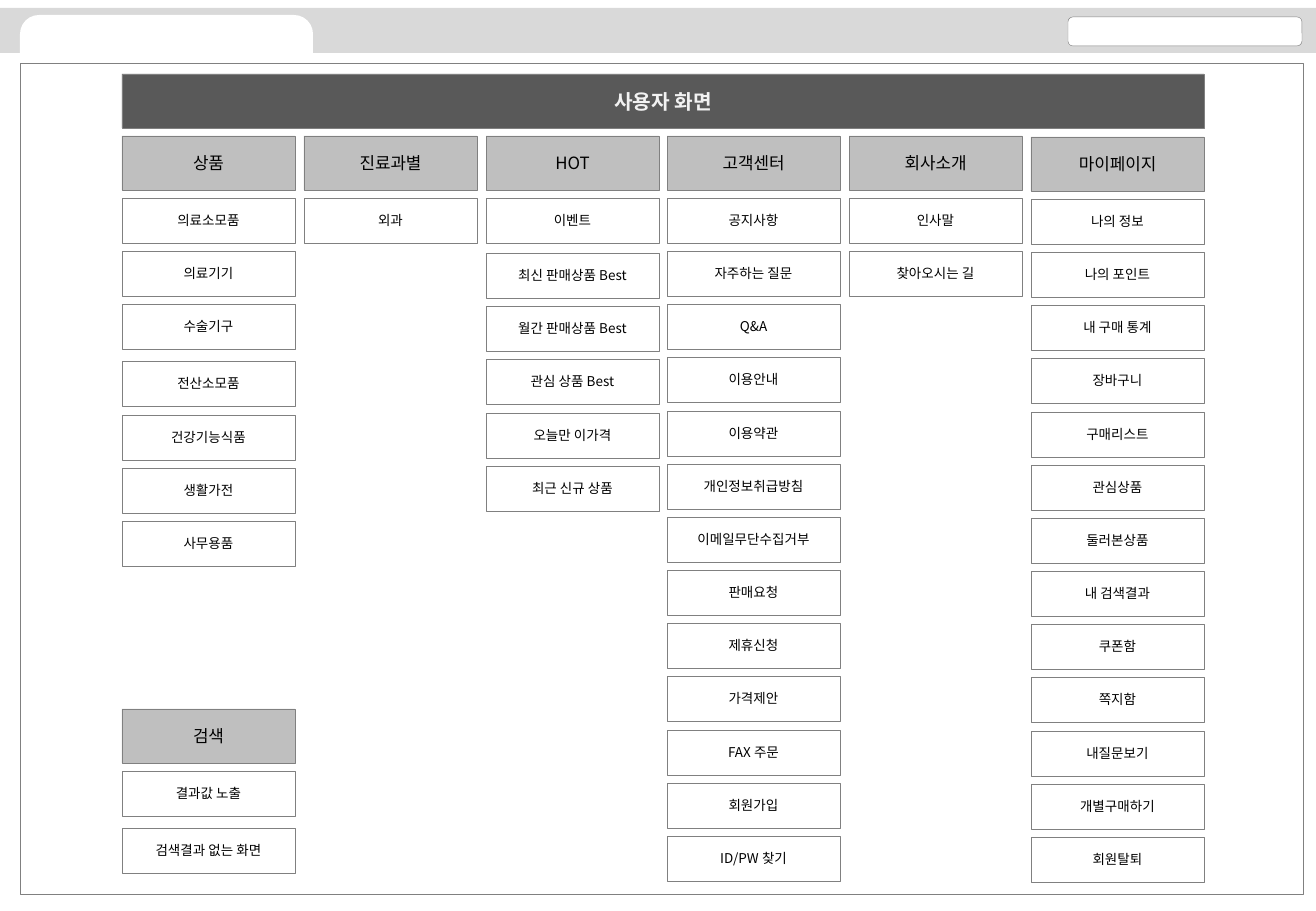
from pptx import Presentation
from pptx.dml.color import RGBColor
from pptx.enum.shapes import MSO_SHAPE
from pptx.enum.text import MSO_ANCHOR, MSO_AUTO_SIZE, PP_ALIGN
from pptx.oxml.ns import qn
from pptx.util import Pt
from lxml import etree

RECT = MSO_SHAPE.RECTANGLE
ROUND_RECT = MSO_SHAPE.ROUNDED_RECTANGLE
TAB = MSO_SHAPE.ROUND_2_SAME_RECTANGLE
MIDDLE = MSO_ANCHOR.MIDDLE
NO_AUTOFIT = MSO_AUTO_SIZE.NONE
CENTER = PP_ALIGN.CENTER

SCALE = 914400 / 121.5
FONT = "Noto Sans CJK KR"
GREY, BAND, HEADER, DARK = "808080", "D9D9D9", "BFBFBF", "595959"
BLACK, WHITE, LIGHT = "000000", "FFFFFF", "F2F2F2"

# Menu grid, in pixels
LEFT, COLUMN_PITCH, BOX_WIDTH = 122, 181.8, 173
HEADER_HEIGHT, ITEM_HEIGHT = 54, 45
FIRST_ITEM, ROW_PITCH = 62, 53.15

# Column, header top, header, items, number of items before the wider gap, extra gap
MENUS = [
    (0, 136, "상품", ["의료소모품", "의료기기", "수술기구", "전산소모품",
                    "건강기능식품", "생활가전", "사무용품"], 3, 4),
    (1, 136, "진료과별", ["외과"], 0, 0),
    (2, 136, "HOT", ["이벤트", "최신 판매상품 Best", "월간 판매상품 Best",
                     "관심 상품 Best", "오늘만 이가격", "최근 신규 상품"], 1, 2),
    (3, 136, "고객센터", ["공지사항", "자주하는 질문", "Q&A", "이용안내", "이용약관",
                      "개인정보취급방침", "이메일무단수집거부", "판매요청", "제휴신청",
                      "가격제안", "FAX 주문", "회원가입", "ID/PW 찾기"], 0, 0),
    (4, 136, "회사소개", ["인사말", "찾아오시는 길"], 0, 0),
    (5, 137, "마이페이지", ["나의 정보", "나의 포인트", "내 구매 통계", "장바구니",
                       "구매리스트", "관심상품", "둘러본상품", "내 검색결과", "쿠폰함",
                       "쪽지함", "내질문보기", "개별구매하기", "회원탈퇴"], 0, 0),
    (0, 709, "검색", ["결과값 노출", "검색결과 없는 화면"], 1, 4),
]


def px(n):
    return round(n * SCALE)


def rgb(color):
    return RGBColor.from_string(color)


def paint(sp, fill=None, line=None):
    if fill:
        sp.fill.solid()
        sp.fill.fore_color.rgb = rgb(fill)
    else:
        sp.fill.background()
    if line:
        sp.line.color.rgb = rgb(line)
        sp.line.width = Pt(0.25)
    else:
        sp.line.fill.background()


def set_text(sp, text, size, color, bold=False):
    tf = sp.text_frame
    tf.text = text
    tf.word_wrap = True
    tf.auto_size = NO_AUTOFIT
    tf.vertical_anchor = MIDDLE
    tf.margin_left = tf.margin_right = tf.margin_top = tf.margin_bottom = 0
    p = tf.paragraphs[0]
    p.alignment = CENTER
    font = p.runs[0].font
    font.name, font.size, font.bold = FONT, Pt(size), bold
    font.color.rgb = rgb(color)
    # East Asian typeface for the Korean text
    ea = etree.SubElement(p.runs[0].font._element, qn("a:ea"))
    ea.set("typeface", FONT)


def add_box(s, x, y, w, h, fill=None, line=None, kind=RECT):
    sp = s.shapes.add_shape(kind, px(x), px(y), px(w), px(h))
    sp.shadow.inherit = False
    paint(sp, fill, line)
    return sp


def add_page_frame(s):
    add_box(s, 0, 8, 1316, 45, BAND)
    tab = add_box(s, 20, 15, 293, 38, WHITE, kind=TAB)
    tab.adjustments[0] = 0.5
    add_box(s, 1068, 17, 234, 29, WHITE, GREY, ROUND_RECT)
    add_box(s, 20, 63, 1283, 831, line=GREY)


def add_title(s, text):
    title = s.shapes.title
    title.left, title.top = px(LEFT), px(74)
    title.width, title.height = px(1082), px(54)
    paint(title, DARK, GREY)
    set_text(title, text, 12, LIGHT, bold=True)


def add_menu(s, column, top, header, items, gap_after, gap):
    x = round(LEFT + column * COLUMN_PITCH)
    sp = add_box(s, x, top, BOX_WIDTH, HEADER_HEIGHT, HEADER, GREY)
    set_text(sp, header, 10, BLACK)
    for i, item in enumerate(items):
        y = top + FIRST_ITEM + round(i * ROW_PITCH)
        if i >= gap_after:
            y += gap
        sp = add_box(s, x, y, BOX_WIDTH, ITEM_HEIGHT, line=GREY)
        set_text(sp, item, 8, BLACK)


def main():
    prs = Presentation()
    prs.slide_width, prs.slide_height = px(1316), px(911)
    s = prs.slides.add_slide(prs.slide_layouts[5])
    add_page_frame(s)
    add_title(s, "사용자 화면")
    for menu in MENUS:
        add_menu(s, *menu)
    prs.save("out.pptx")


main()
